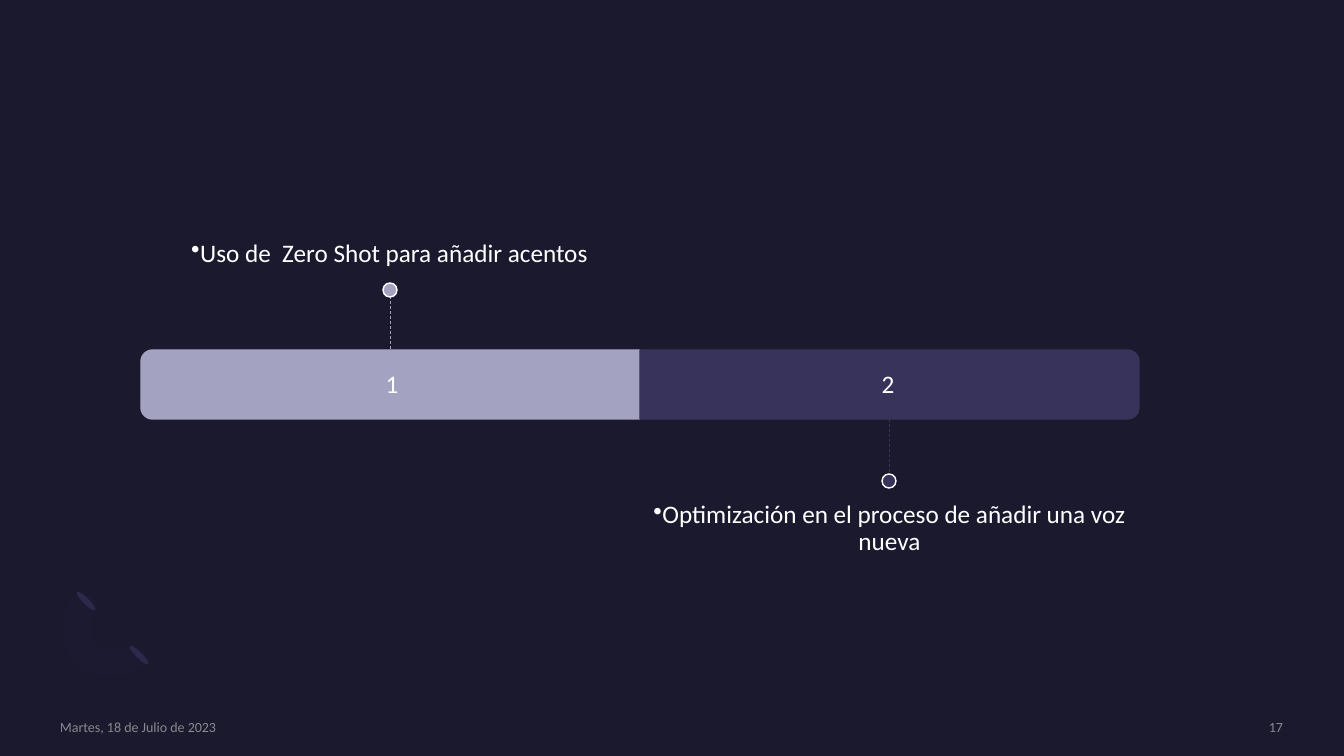
from dataclasses import dataclass

import lxml.etree
import pptx
import pptx.dml.color
import pptx.enum.dml
import pptx.enum.shapes
import pptx.enum.text
import pptx.oxml.ns
import pptx.util

SHAPE = pptx.enum.shapes.MSO_SHAPE
ALIGN = pptx.enum.text.PP_ALIGN
ANCHOR = pptx.enum.text.MSO_ANCHOR
EMU_PER_PX = 12192000 / 1344
WHITE = "FFFFFF"
GREY = "A6A6A6"
BAR_LENGTH, BAR_DEPTH, BAR_TOP = 499, 69, 135
DOT = 14


@dataclass
class Step:
    number: str
    label: str
    color: str
    center: int
    rotation: int
    number_left: int
    label_left: int
    label_top: int
    label_anchor: ANCHOR
    label_insets: tuple[int, int, int, int]
    stem: tuple[int, int]
    dot_top: int


@dataclass
class Footer:
    text: str
    left: int
    width: int
    align: ALIGN


STEPS = [
    Step("1", "Uso de  Zero Shot para añadir acentos", "A3A3C1", 390, 270,
         144, 140, 44, ANCHOR.BOTTOM, (0, 0, 0, 15), (296, 351), 283),
    Step("2", "Optimización en el proceso de añadir una voz nueva", "37335B", 889, 90,
         640, 640, 487, ANCHOR.TOP, (0, 15, 0, 0), (419, 474), 474),
]
FOOTERS = [
    Footer("17", 1097, 186, ALIGN.RIGHT),
    Footer("Martes, 18 de Julio de 2023", 60, 290, ALIGN.LEFT),
]
ARC_START = (77, 664)
# Each piece holds one point for a straight edge, or three for a Bézier curve.
ARC_PIECES = [
    [(56, 644), (58, 610), (82, 587)],
    [(100, 605)],
    [(88, 616), (87, 634), (97, 643)],
    [(107, 653), (124, 652), (136, 641)],
    [(153, 659)],
    [(131, 681), (96, 684), (77, 664)],
]


def px(length: float) -> pptx.util.Emu:
    return pptx.util.Emu(round(length * EMU_PER_PX))


def paint(fill, color: str, opacity: int = 100) -> None:
    fill.solid()
    fill.fore_color.rgb = pptx.dml.color.RGBColor.from_string(color)
    if opacity < 100:
        tone = fill._xPr.find(".//" + pptx.oxml.ns.qn("a:srgbClr"))
        alpha = lxml.etree.SubElement(tone, pptx.oxml.ns.qn("a:alpha"))
        alpha.set("val", str(opacity * 1000))


def add_preset(page, kind: SHAPE, left: float, top: float, width: int, height: int,
               color: str, outline: str | None = None, rotation: int = 0) -> None:
    shape = page.shapes.add_shape(kind, px(left), px(top), px(width), px(height))
    shape.shadow.inherit = False
    shape.rotation = rotation
    paint(shape.fill, color)
    if outline:
        paint(shape.line.fill, outline)
        shape.line.width = pptx.util.Pt(1)
    else:
        shape.line.fill.background()


def add_text(page, text: str, left: int, top: int, width: int, height: int,
             size: int, color: str, align: ALIGN, anchor: ANCHOR,
             insets: tuple[int, int, int, int] = (0, 0, 0, 0),
             spacing: float = 1.0, bullet: bool = False, opacity: int = 100) -> None:
    box = page.shapes.add_textbox(px(left), px(top), px(width), px(height))
    frame = box.text_frame
    frame.word_wrap = True
    frame.vertical_anchor = anchor
    frame.margin_left, frame.margin_top, frame.margin_right, frame.margin_bottom = map(px, insets)
    para = frame.paragraphs[0]
    para.alignment = align
    para.line_spacing = spacing
    if bullet:
        properties = para._p.get_or_add_pPr()
        properties.set("marL", "0")
        properties.set("indent", "0")
        mark = lxml.etree.SubElement(properties, pptx.oxml.ns.qn("a:buChar"))
        mark.set("char", "•")
    span = para.add_run()
    span.text = text
    span.font.name = "Calibri"
    span.font.size = pptx.util.Pt(size)
    paint(span.font.fill, color, opacity)


def add_stem(page, x: int, top: int, bottom: int, color: str) -> None:
    stem = page.shapes.add_connector(
        pptx.enum.shapes.MSO_CONNECTOR.STRAIGHT, px(x), px(top), px(x), px(bottom))
    paint(stem.line.fill, color)
    stem.line.width = pptx.util.Pt(0.5)
    stem.line.dash_style = pptx.enum.dml.MSO_LINE.DASH
    lxml.etree.SubElement(stem._element.spPr, pptx.oxml.ns.qn("a:effectLst"))


def arc_outline(samples: int = 12) -> list[tuple[float, float]]:
    """Flatten the curved pieces into short straight edges."""
    points = [ARC_START]
    for piece in ARC_PIECES:
        if len(piece) == 1:
            points.append(piece[0])
            continue
        controls = [points[-1], *piece]
        for index in range(1, samples + 1):
            t = index / samples
            weights = ((1 - t) ** 3, 3 * t * (1 - t) ** 2, 3 * t * t * (1 - t), t ** 3)
            points.append(tuple(
                sum(weight * control[axis] for weight, control in zip(weights, controls))
                for axis in (0, 1)))
    return points


def add_ornament(page) -> None:
    for left, top in ((136, 642), (83, 588)):
        add_preset(page, SHAPE.OVAL, left, top, 6, 26, "2C284A", rotation=135)
    start, *rest = [(px(x), px(y)) for x, y in arc_outline()]
    builder = page.shapes.build_freeform(*start)
    builder.add_line_segments(rest, close=True)
    arc = builder.convert_to_shape()
    arc.shadow.inherit = False
    paint(arc.fill, "7771B2", 2)
    arc.line.fill.background()


def add_step(page, step: Step) -> None:
    add_preset(page, SHAPE.ROUND_2_SAME_RECTANGLE, step.center - BAR_DEPTH // 2, BAR_TOP,
               BAR_DEPTH, BAR_LENGTH, step.color, step.color, step.rotation)
    add_text(page, step.number, step.number_left, 355, 496, 61, 18, WHITE,
             ALIGN.CENTER, ANCHOR.MIDDLE, (15, 15, 15, 15), 0.9)
    add_text(page, step.label, step.label_left, step.label_top, BAR_LENGTH, 239, 18, WHITE,
             ALIGN.CENTER, step.label_anchor, step.label_insets, 0.9, bullet=True)
    add_stem(page, step.center, *step.stem, step.color)
    add_preset(page, SHAPE.OVAL, step.center - DOT // 2, step.dot_top, DOT, DOT,
               step.color, WHITE)


def main() -> None:
    deck = pptx.Presentation()
    deck.slide_width, deck.slide_height = px(1344), px(756)
    page = deck.slides.add_slide(deck.slide_layouts[6])
    paint(page.background.fill, "1B192E")
    add_ornament(page)
    for step in STEPS:
        add_step(page, step)
    for footer in FOOTERS:
        add_text(page, footer.text, footer.left, 718, footer.width, 17, 10, GREY,
                 footer.align, ANCHOR.MIDDLE, opacity=80)
    deck.save("out.pptx")


if __name__ == "__main__":
    main()
